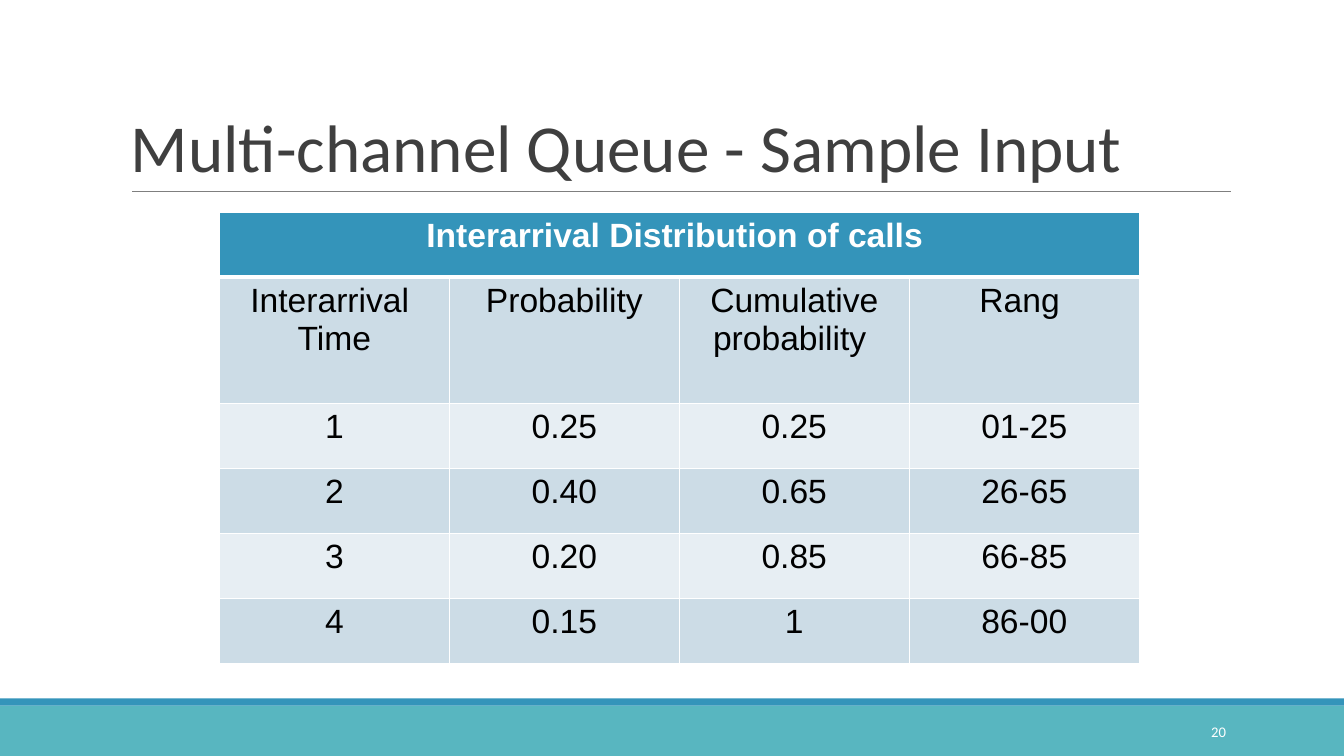
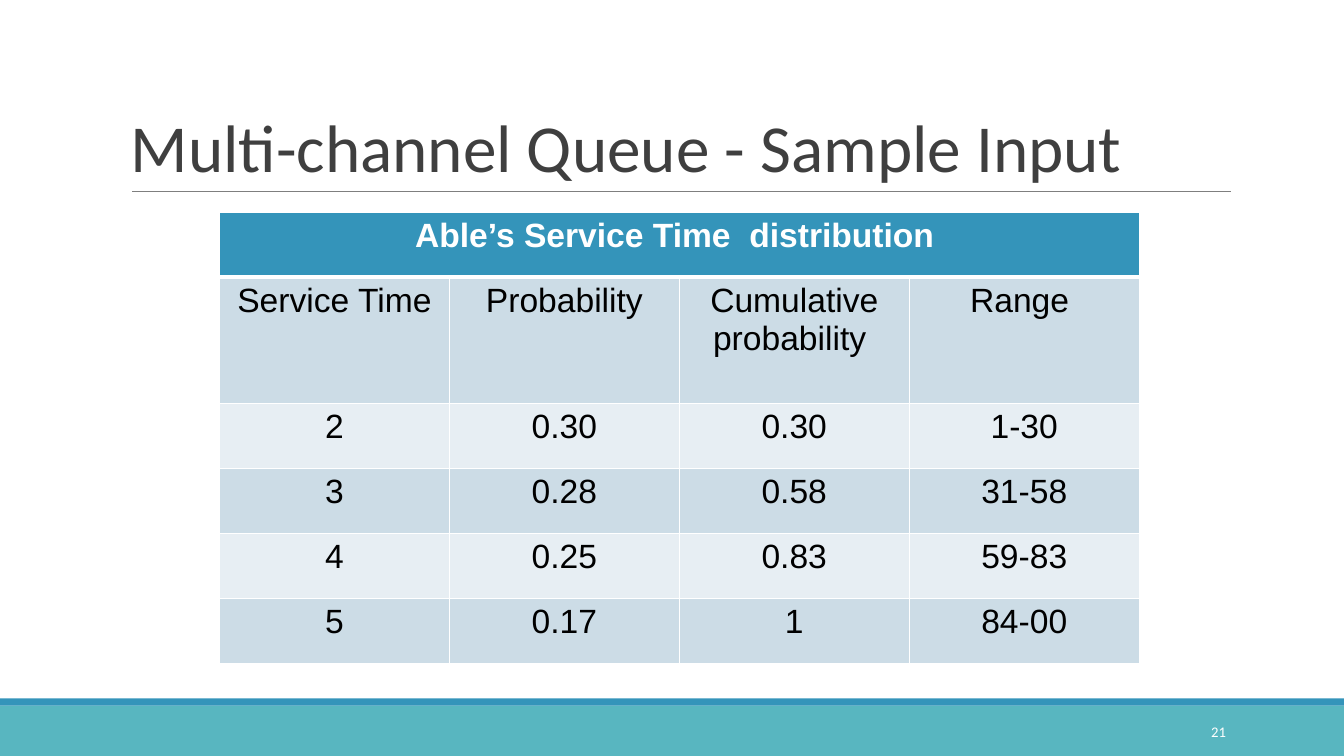
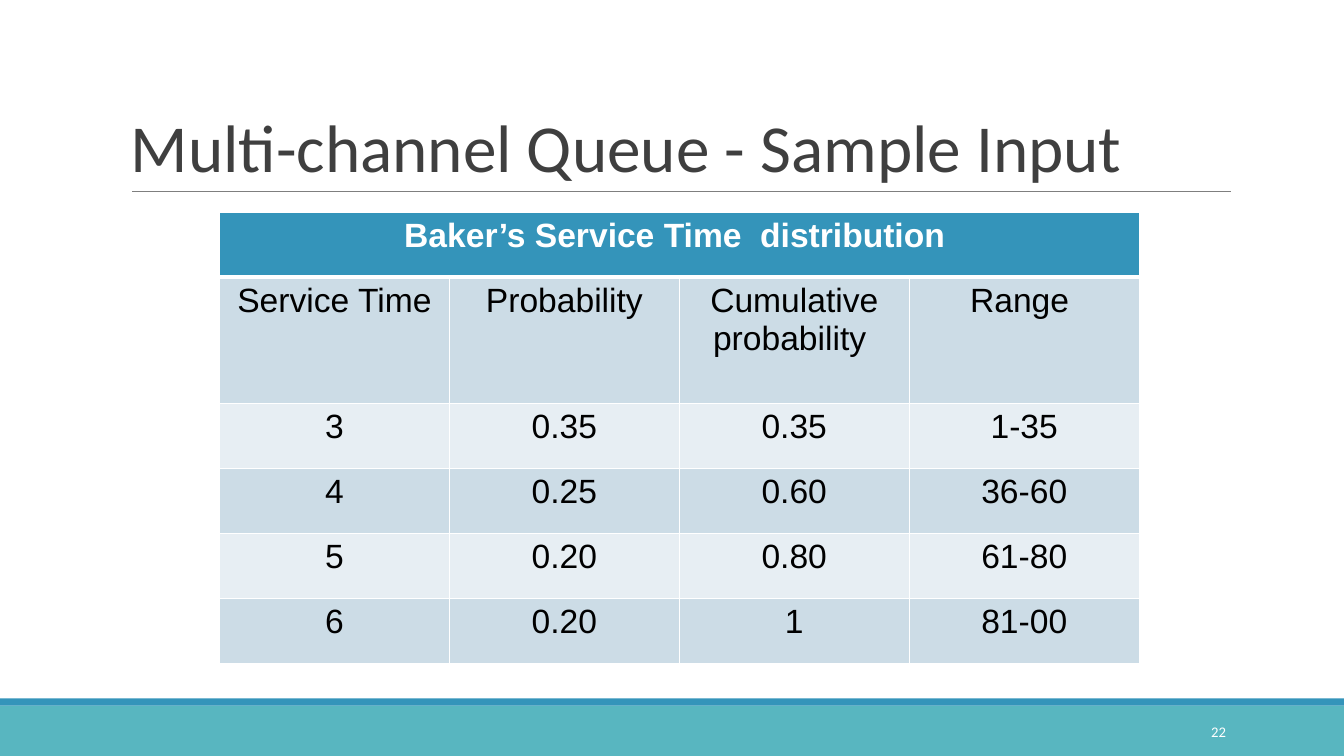
from lxml.etree import SubElement
from pptx import Presentation
from pptx.dml.color import RGBColor
from pptx.enum.shapes import MSO_CONNECTOR, MSO_SHAPE
from pptx.enum.text import MSO_ANCHOR, PP_ALIGN
from pptx.oxml.ns import qn
from pptx.util import Pt

SCALE = 9525
WIDE, HIGH = 1280, 720
BLUE, TEAL, WHITE = "3494BA", "58B6C0", "FFFFFF"
DARK, LIGHT = "CCDCE6", "E7EEF3"
TITLE = {"name": "Calibri", "size": Pt(48), "color": "3F3F3F"}
NUMBER = {"name": "Calibri", "size": Pt(10.5), "color": WHITE}
HEAD = {"name": "Arial", "size": Pt(24), "bold": True, "color": WHITE}
BODY = {"name": "Arial", "size": Pt(24), "bold": False, "color": "000000"}

TABLES = [
    ("Interarrival Distribution of calls ", "Interarrival  Time", "Rang ", [
        ("1", "0.25", "0.25", "01-25"),
        ("2", "0.40", "0.65", "26-65"),
        ("3", "0.20", "0.85", "66-85"),
        ("4", "0.15", "1", "86-00")]),
    ("Able’s Service Time  distribution ", "Service Time", "Range ", [
        ("2", "0.30", "0.30", "1-30"),
        ("3", "0.28", "0.58", "31-58"),
        ("4", "0.25", "0.83", "59-83"),
        ("5", "0.17", "1", "84-00")]),
    ("Baker’s Service Time  distribution ", "Service Time", "Range ", [
        ("3", "0.35", "0.35", "1-35"),
        ("4", "0.25", "0.60", "36-60"),
        ("5", "0.20", "0.80", "61-80"),
        ("6", "0.20", "1", "81-00")]),
]


def px(*sizes):
    return [size * SCALE for size in sizes]


def paint(fill, color):
    fill.solid()
    fill.fore_color.rgb = RGBColor.from_string(color)


def write(frame, text, style, align):
    para = frame.paragraphs[0]
    para.alignment = align
    run = para.add_run()
    run.text = text
    for key, value in style.items():
        if key == "color":
            run.font.color.rgb = RGBColor.from_string(value)
        else:
            setattr(run.font, key, value)
    return para


def label(slide, box, text, style, align, anchor):
    frame = slide.shapes.add_textbox(*px(*box)).text_frame
    frame.word_wrap = True
    frame.vertical_anchor = anchor
    return write(frame, text, style, align)


def band(slide, box, color):
    shape = slide.shapes.add_shape(MSO_SHAPE.RECTANGLE, *px(*box))
    shape.shadow.inherit = False
    paint(shape.fill, color)
    shape.line.fill.background()


def header(slide, box, text):
    left, top, width, height = box
    base = top + height
    rule = slide.shapes.add_connector(
        MSO_CONNECTOR.STRAIGHT, *px(left + 11, base, left + width + 1, base))
    paint(rule.line.fill, "7F7F7F")
    rule.line.width = Pt(0.75)
    SubElement(rule._element.spPr, qn("a:effectLst"))
    para = label(slide, box, text, TITLE, PP_ALIGN.LEFT, MSO_ANCHOR.BOTTOM)
    para.line_spacing = 0.85


def footer(slide, box, number):
    left, top, width, height = box
    band(slide, box, TEAL)
    band(slide, (left, top - 7, width, 7), BLUE)
    label(slide, (left + width - 240, top + 6, 137, 38), str(number),
          NUMBER, PP_ALIGN.RIGHT, MSO_ANCHOR.MIDDLE)


def border(cell, widths):
    props = cell._tc.get_or_add_tcPr()
    for side, width in zip("LRTB", widths):
        line = SubElement(props, qn(f"a:ln{side}"), w=str(Pt(width)))
        fill = SubElement(line, qn("a:solidFill"))
        SubElement(fill, qn("a:srgbClr"), val=WHITE)


def grid(slide, box, title, first, last, data):
    rows = [(title, "", "", ""),
            (first, "Probability", "Cumulative probability ", last), *data]
    count = len(rows[0])
    table = slide.shapes.add_table(len(rows), count, *px(*box)).table
    for col in table.columns:
        col.width = box[2] // count * SCALE
    for i, texts in enumerate(rows):
        table.rows[i].height = (120 if i == 1 else 62) * SCALE
        color = BLUE if i == 0 else DARK if i % 2 else LIGHT
        for j, text in enumerate(texts):
            cell = table.cell(i, j)
            border(cell, (1, 1, 3 if i == 1 else 1, 1 if i else 3))
            paint(cell.fill, color)
            if text:
                write(cell.text_frame, text, BODY if i else HEAD,
                      PP_ALIGN.CENTER)
    table.cell(0, 0).merge(table.cell(0, count - 1))


def main():
    deck = Presentation()
    deck.slide_width, deck.slide_height = px(WIDE, HIGH)
    for number, content in enumerate(TABLES, 20):
        slide = deck.slides.add_slide(deck.slide_layouts[6])
        footer(slide, (0, 672, WIDE, 48), number)
        header(slide, (115, 30, 1056, 152),
               "Multi-channel Queue - Sample Input")
        grid(slide, (209, 202, 876, 430), *content)
    deck.save("out.pptx")


if __name__ == "__main__":
    main()
